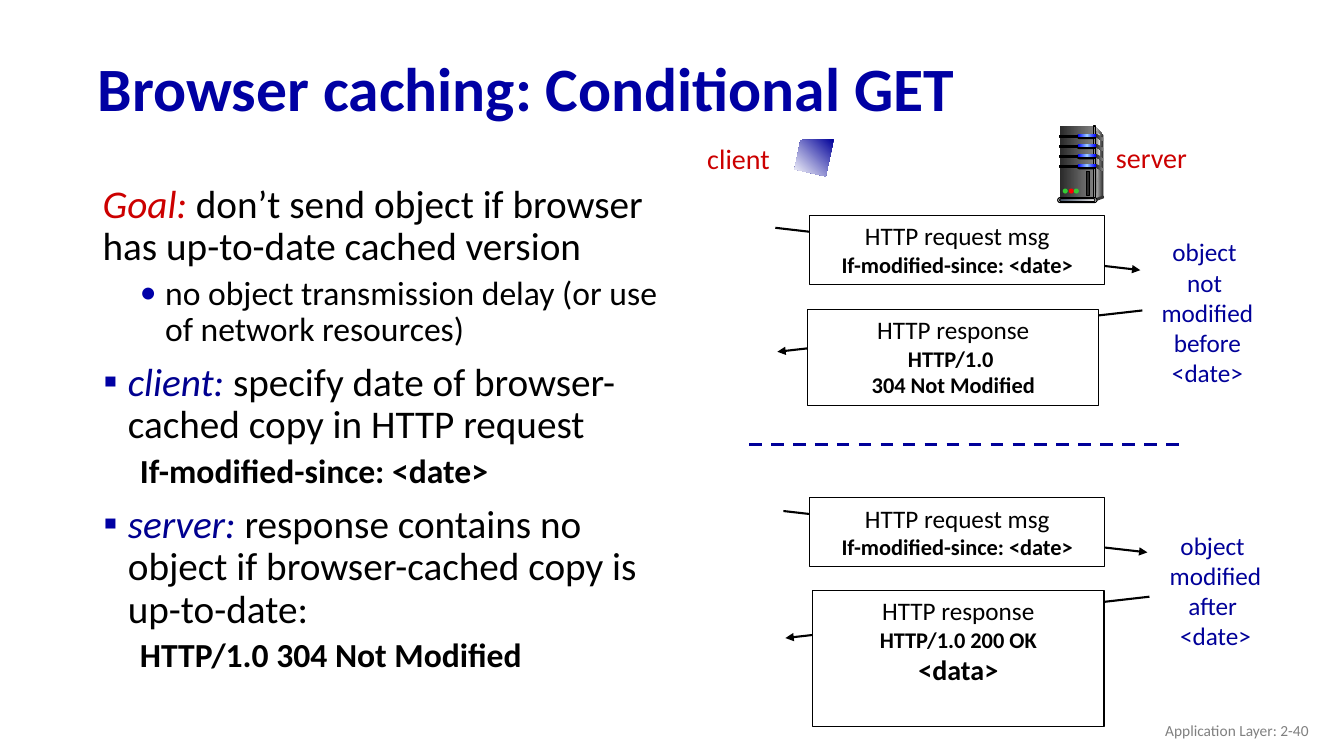
import lxml.etree
import pptx
import pptx.dml.color
import pptx.enum.dml
import pptx.enum.shapes
import pptx.enum.text
import pptx.oxml.ns
import pptx.util

PX = 9144  # EMU per px, 100 px to the inch
COLORS = {
    "title": "0000A3", "bullet": "0000A8", "term": "000090", "note": "000099",
    "red": "CC0000", "black": "000000", "white": "FFFFFF", "footer": "808080",
    "charcoal": "333333", "dark": "292929", "gray": "808080", "silver": "DDDDDD",
    "pale": "F8F8F8", "blue": "0000FF", "sky": "99CCFF", "slate": "44546A",
    "ash": "E7E6E6", "green": "33CC33", "lamp": "FF0000",
}
SHAPES = pptx.enum.shapes.MSO_SHAPE
ALIGN = pptx.enum.text.PP_ALIGN
ANCHOR = pptx.enum.text.MSO_ANCHOR


def rgb(name):
    return pptx.dml.color.RGBColor.from_string(COLORS[name])


def add_xml(parent, tag, **attributes):
    return lxml.etree.SubElement(parent, pptx.oxml.ns.qn(tag), attributes)


class SlideBuilder:
    font = "Calibri"

    def __init__(self, presentation):
        self.slide = presentation.slides.add_slide(presentation.slide_layouts[6])
        self.shapes = self.slide.shapes

    def add_runs(self, paragraph, runs):
        """Each run is (text, size, color, style letters)."""
        for text, size, color, style in runs:
            run = paragraph.add_run()
            run.text = text
            run.font.name = self.font
            run.font.size = pptx.util.Pt(size)
            run.font.bold = "b" in style
            run.font.italic = "i" in style
            run.font.color.rgb = rgb(color)

    def paragraphs(self, frame, items, align=ALIGN.LEFT, spacing=None):
        for index, runs in enumerate(items):
            paragraph = frame.add_paragraph() if index else frame.paragraphs[0]
            paragraph.alignment = align
            if spacing:
                paragraph.line_spacing = spacing
            self.add_runs(paragraph, runs)
        return frame.paragraphs

    def text(self, box, items, align=ALIGN.LEFT, anchor=ANCHOR.TOP, wrap=True, spacing=None):
        frame = self.shapes.add_textbox(*(v * PX for v in box)).text_frame
        frame.word_wrap = wrap
        frame.vertical_anchor = anchor
        return self.paragraphs(frame, items, align, spacing)

    def indent(self, paragraph, left, first, before=0, bullet=None, color=None):
        properties = paragraph._p.get_or_add_pPr()
        properties.set("marL", str(left * PX))
        properties.set("indent", str(first * PX))
        if before:
            paragraph.space_before = pptx.util.Pt(before)
        if bullet:
            add_xml(add_xml(properties, "a:buClr"), "a:srgbClr", val=COLORS[color])
            add_xml(properties, "a:buFont", typeface=self.font)
            add_xml(properties, "a:buChar", char=bullet)

    def paint(self, shape, fill, outline, angle=0):
        """A fill is one color name, or a list of evenly spaced gradient colors."""
        shape.shadow.inherit = False
        if isinstance(fill, str):
            shape.fill.solid()
            shape.fill.fore_color.rgb = rgb(fill)
        else:
            shape.fill.gradient()
            shape.fill.gradient_angle = (360 - angle) % 360
            stops = shape._element.spPr.find(".//" + pptx.oxml.ns.qn("a:gsLst"))
            for stop in list(stops):
                stops.remove(stop)
            for index, name in enumerate(fill):
                position = str(100000 * index // (len(fill) - 1))
                add_xml(add_xml(stops, "a:gs", pos=position), "a:srgbClr", val=COLORS[name])
        if outline:
            shape.line.color.rgb = rgb("black")
            shape.line.width = pptx.util.Pt(0.75)
        else:
            shape.line.fill.background()

    def shape(self, kind, box, fill, outline=False):
        shape = self.shapes.add_shape(kind, *(v * PX for v in box))
        if kind == SHAPES.ROUNDED_RECTANGLE:
            shape.adjustments[0] = 0.5
        self.paint(shape, fill, outline)
        return shape

    def polygon(self, points, fill, angle=0):
        builder = self.shapes.build_freeform(*points[0], scale=PX)
        builder.add_line_segments(points[1:], close=True)
        self.paint(builder.convert_to_shape(), fill, False, angle)

    def line(self, start, end, color="black", width=1.5, dashed=False, arrow=True):
        connector = self.shapes.add_connector(
            pptx.enum.shapes.MSO_CONNECTOR.STRAIGHT, *(v * PX for v in start + end))
        connector.line.color.rgb = rgb(color)
        connector.line.width = pptx.util.Pt(width)
        if dashed:
            connector.line.dash_style = pptx.enum.dml.MSO_LINE.DASH
        if arrow:
            outline = connector._element.spPr.find(pptx.oxml.ns.qn("a:ln"))
            add_xml(outline, "a:tailEnd", type="triangle")
        add_xml(connector._element.spPr, "a:effectLst")

    def message(self, start, end, box, lines):
        """An arrow with a boxed message on top of it."""
        self.line(start, end)
        frame = self.shape(SHAPES.RECTANGLE, box, "white", True).text_frame
        frame.word_wrap = True
        frame.vertical_anchor = ANCHOR.TOP
        self.paragraphs(frame, [[(text, size, "black", "" if size == 18 else "b")]
                                for text, size in lines], ALIGN.CENTER)

    def label(self, box, lines, size, color):
        self.text(box, [[(text, size, color, "")] for text in lines], ALIGN.CENTER, wrap=False)


def draw_server(builder):
    rectangle, pill, dot = SHAPES.RECTANGLE, SHAPES.ROUNDED_RECTANGLE, SHAPES.OVAL
    # Cabinet
    builder.polygon([(1087, 126), (1094, 134), (1094, 194), (1085, 197)], ["silver", "charcoal"])
    builder.shape(rectangle, (1051, 125, 34, 72), ["dark", "gray"])
    builder.polygon([(1087, 130), (1092, 136), (1089, 165), (1087, 195)], ["gray", "pale"])
    builder.shape(rectangle, (1085, 125, 2, 72), ["charcoal", "silver", "charcoal"], True)
    # Drive slots with their side vents
    for top in range(133, 164, 10):
        builder.shape(rectangle, (1051, top + 1, 19, 2), "black", True)
        builder.shape(pill, (1068, top, 19, 5), "black")
        builder.shape(pill, (1069, top, 18, 3), ["blue", "sky", "blue"])
        builder.polygon([(1087, top), (1094, top + 4), (1094, top + 7), (1087, top + 3)],
                        ["dark", "gray"])
    # Base
    builder.shape(dot, (1093, 194, 2, 3), "charcoal")
    builder.polygon([(1086, 197), (1086, 200), (1094, 197), (1094, 194)], "charcoal")
    builder.shape(pill, (1049, 196, 39, 5), "silver", True)
    builder.shape(pill, (1051, 197, 35, 3), ["slate", "ash"], True)
    # Lamps and handle
    for left, color in ((1054, "green"), (1060, "lamp"), (1065, "green")):
        builder.shape(dot, (left, 187, 5, 5), color)
    builder.shape(rectangle, (1078, 170, 3, 24), "dark", True)


def main():
    presentation = pptx.Presentation()
    presentation.slide_width = 1333 * PX
    presentation.slide_height = 750 * PX
    builder = SlideBuilder(presentation)

    # Title and footer
    builder.text((87, 42, 1150, 98), [[("Browser caching: Conditional GET", 44, "title", "b")]],
                 anchor=ANCHOR.MIDDLE, spacing=0.9)
    builder.text((1008, 705, 300, 40), [[("Application Layer: 2-40", 11, "footer", "")]],
                 ALIGN.RIGHT, ANCHOR.MIDDLE)

    # Explanation
    body = builder.text((78, 178, 612, 561), [
        [("Goal:", 28, "red", "i"),
         (" don’t send object if browser has up-to-date cached version", 28, "black", "")],
        [("no object transmission delay (or use of network resources)", 24, "black", "")],
        [("client: ", 28, "term", "i"),
         ("specify date of browser-cached copy in HTTP request", 28, "black", "")],
        [("If-modified-since: <date>", 24, "black", "b")],
        [("server: ", 28, "term", "i"),
         ("response contains no object if browser-cached copy is up-to-date:", 28, "black", "")],
        [("HTTP/1.0 304 Not Modified", 24, "black", "b")],
    ], spacing=0.9)
    builder.indent(body[0], 14, 0)
    builder.indent(body[1], 76, -25, 5, "•", "bullet")
    for term, code in (body[2:4], body[4:6]):
        builder.indent(term, 39, -24, 10, "▪", "title")
        builder.indent(code, 76, -25, 5)

    # Message exchanges
    request = [("HTTP request msg", 18), ("If-modified-since: <date>", 16)]
    builder.message((769, 226), (1131, 268), (803, 214, 293, 68), request)
    builder.message((1133, 308), (771, 349), (801, 307, 289, 95),
                    [("HTTP response", 18), ("HTTP/1.0 ", 16), ("304 Not Modified", 16)])
    builder.label((1140, 230, 115, 160),
                  ["object ", "not ", "modified", "before", "<date>"], 18, "note")
    builder.line((743, 441), (1170, 441), "note", 2.25, dashed=True, arrow=False)
    builder.message((777, 507), (1138, 548), (803, 494, 293, 68), request)
    builder.message((1140, 592), (779, 633), (806, 586, 289, 135),
                    [("HTTP response", 18), ("HTTP/1.0 200 OK", 16), ("<data>", 20)])
    builder.label((1148, 521, 115, 130), ["object ", "modified", "after ", "<date>"], 18, "note")

    # Client and server
    builder.label((690, 135, 85, 43), ["client"], 20, "red")
    builder.label((1096, 134, 92, 44), ["server"], 20, "red")
    draw_server(builder)
    builder.polygon([(827, 138), (794, 139), (788, 168), (819, 175)], ["note", "white"], 135)

    presentation.save("out.pptx")


if __name__ == "__main__":
    main()
